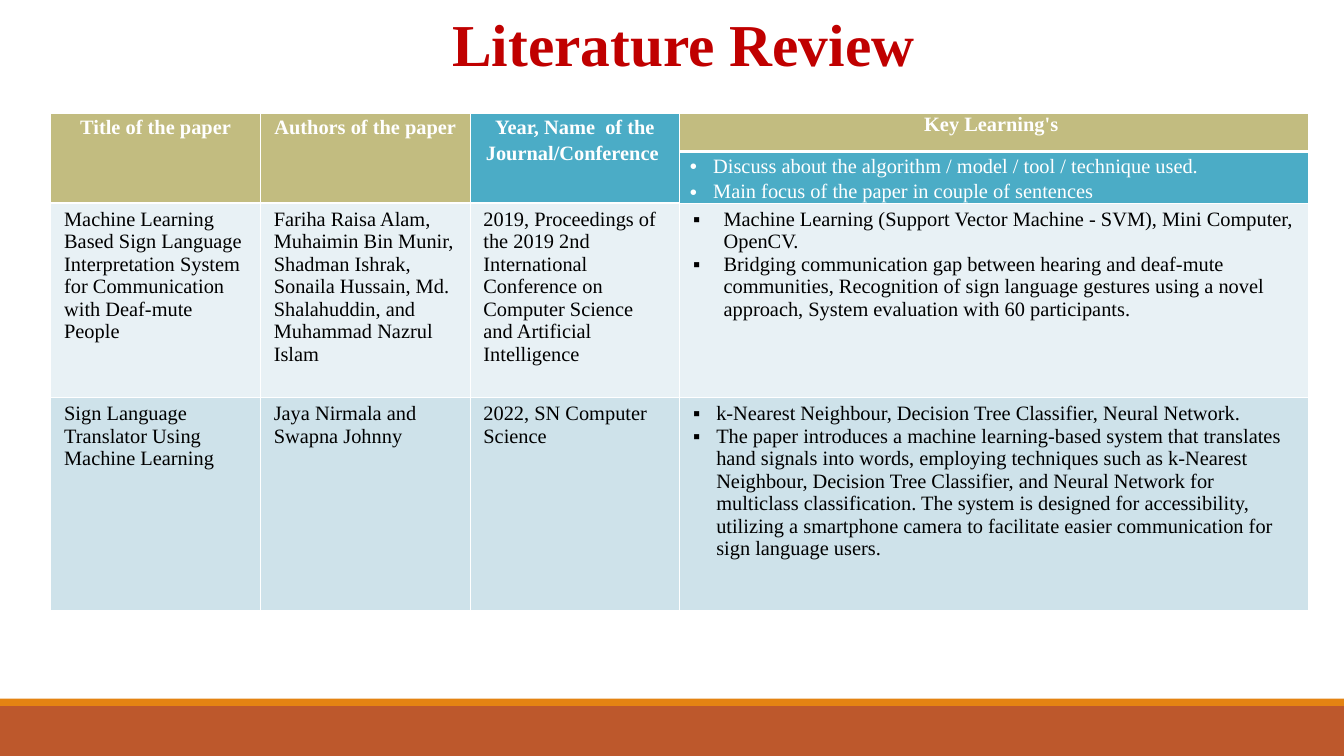
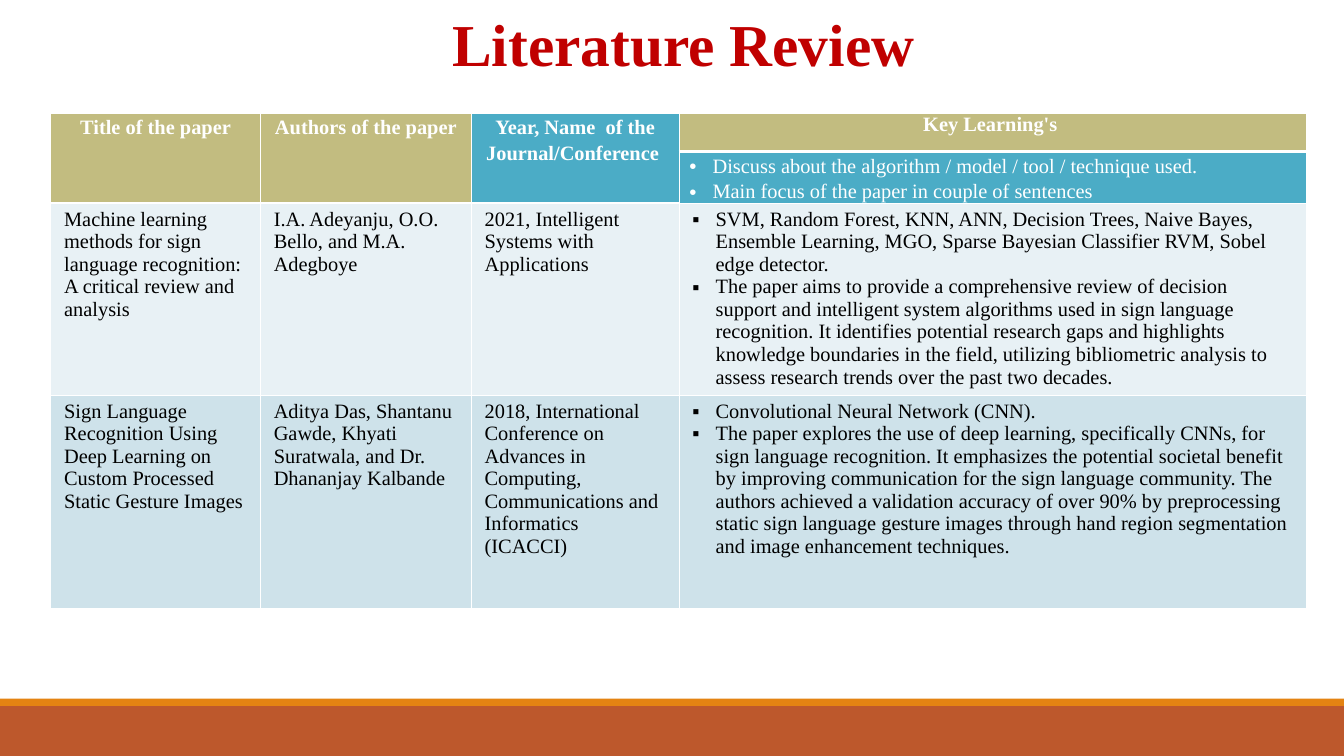
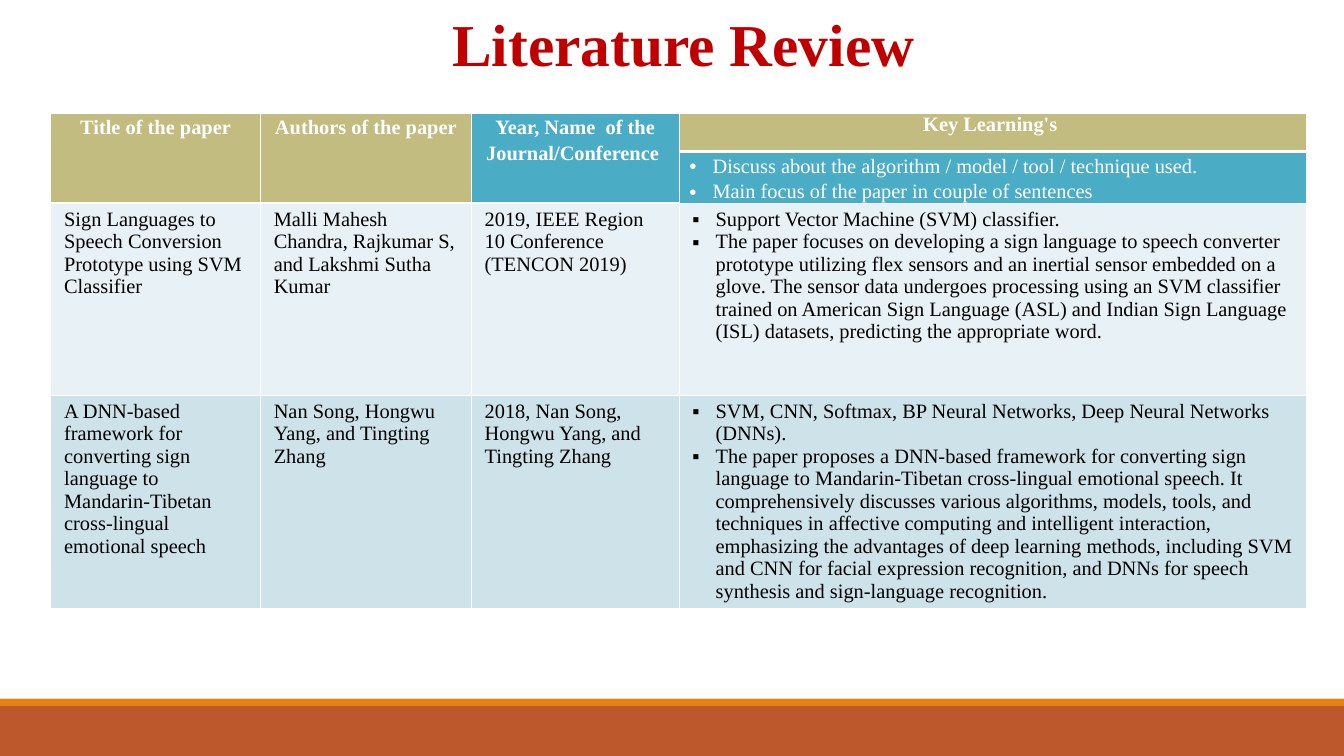
from dataclasses import dataclass

from lxml import etree
from pptx import Presentation
from pptx import util as u
from pptx.dml.color import RGBColor
from pptx.enum import shapes, text
from pptx.oxml import ns

EMU_PER_PX = 9144  # 100 px to the inch
SLIDE_WIDTH, SLIDE_HEIGHT = 2199, 1237
TITLE_ONLY_LAYOUT = 5


@dataclass(frozen=True)
class Theme:
    font: str = "Times New Roman"
    title_size: int = 70
    table_size: int = 24
    title: str = "C00000"
    white: str = "FFFFFF"
    black: str = "000000"
    khaki: str = "C2BC80"
    teal: str = "4BACC6"
    body_rows: tuple[str, ...] = ("E8F1F5", "CEE2EA")
    footer: str = "BD582C"
    footer_edge: str = "E48312"


THEME = Theme()


@dataclass(frozen=True)
class Band:
    top: int
    height: int
    color: str


@dataclass(frozen=True)
class CellStyle:
    fill: str
    color: str
    margin_x: int
    margin_y: int
    bold: bool = False
    align: text.PP_ALIGN = text.PP_ALIGN.LEFT
    line_spacing: float = 1.0
    bullet: str = ""
    indent: int = 38
    bottom_border: int = 1


@dataclass(frozen=True)
class Paper:
    title: str
    authors: str
    source: str
    learnings: tuple[str, str]
    indent: int = 38


@dataclass(frozen=True)
class Review:
    columns: tuple[int, ...]
    first_paper_height: int
    papers: tuple[Paper, Paper]


BANDS = (
    Band(1155, 82, THEME.footer),
    Band(1143, 12, THEME.footer_edge),
)
TABLE_LEFT, TABLE_TOP = 83, 185
HEADER_HEIGHTS = (63, 84)
LAST_PAPER_HEIGHT = 348
HEADINGS = (
    ("Title of the paper", THEME.khaki),
    ("Authors of the paper", THEME.khaki),
    ("Year, Name  of the Journal/Conference ", THEME.teal),
)
KEY_HEADING = "Key Learning's "
KEY_POINTS = (
    "Discuss about the algorithm / model / tool / technique used.",
    "Main focus of the paper in couple of sentences",
)
EQUAL_COLUMNS = (343, 343, 343, 1028)
WIDE_AUTHORS = (343, 345, 340, 1027)

REVIEWS = (
    Review(EQUAL_COLUMNS, 318, (
        Paper(
            "Machine Learning Based Sign Language Interpretation System for "
            "Communication with Deaf-mute People",
            "Fariha Raisa Alam, Muhaimin Bin Munir, Shadman Ishrak, Sonaila Hussain, "
            "Md. Shalahuddin, and Muhammad Nazrul Islam",
            "2019, Proceedings of the 2019 2nd International Conference on Computer "
            "Science and Artificial Intelligence",
            ("Machine Learning (Support Vector Machine - SVM), Mini Computer, OpenCV.",
             "Bridging communication gap between hearing and deaf-mute communities, "
             "Recognition of sign language gestures using a novel approach, System "
             "evaluation with 60 participants."),
            indent=50,
        ),
        Paper(
            "Sign Language Translator Using Machine Learning",
            "Jaya Nirmala and Swapna Johnny",
            "2022, SN Computer Science",
            ("k-Nearest Neighbour, Decision Tree Classifier, Neural Network.",
             "The paper introduces a machine learning-based system that translates hand "
             "signals into words, employing techniques such as k-Nearest Neighbour, "
             "Decision Tree Classifier, and Neural Network for multiclass "
             "classification. The system is designed for accessibility, utilizing a "
             "smartphone camera to facilitate easier communication for sign language "
             "users."),
        ),
    )),
    Review(WIDE_AUTHORS, 314, (
        Paper(
            "Machine learning methods for sign language recognition: A critical review "
            "and analysis",
            "I.A. Adeyanju, O.O. Bello, and M.A. Adegboye",
            "2021, Intelligent Systems with Applications",
            ("SVM, Random Forest, KNN, ANN, Decision Trees, Naive Bayes, Ensemble "
             "Learning, MGO, Sparse Bayesian Classifier RVM, Sobel edge detector.",
             "The paper aims to provide a comprehensive review of decision support and "
             "intelligent system algorithms used in sign language recognition. It "
             "identifies potential research gaps and highlights knowledge boundaries in "
             "the field, utilizing bibliometric analysis to assess research trends over "
             "the past two decades."),
        ),
        Paper(
            "Sign Language Recognition Using Deep Learning on Custom Processed Static "
            "Gesture Images",
            "Aditya Das, Shantanu Gawde, Khyati Suratwala, and Dr. Dhananjay Kalbande",
            "2018, International Conference on Advances in Computing, Communications "
            "and Informatics (ICACCI)",
            ("Convolutional Neural Network (CNN).",
             "The paper explores the use of deep learning, specifically CNNs, for sign "
             "language recognition. It emphasizes the potential societal benefit by "
             "improving communication for the sign language community. The authors "
             "achieved a validation accuracy of over 90% by preprocessing static sign "
             "language gesture images through hand region segmentation and image "
             "enhancement techniques."),
        ),
    )),
    Review(WIDE_AUTHORS, 314, (
        Paper(
            "Sign Languages to Speech Conversion Prototype using SVM Classifier",
            "Malli Mahesh Chandra, Rajkumar S, and Lakshmi Sutha Kumar",
            "2019, IEEE Region 10 Conference (TENCON 2019)",
            ("Support Vector Machine (SVM) classifier.",
             "The paper focuses on developing a sign language to speech converter "
             "prototype utilizing flex sensors and an inertial sensor embedded on a "
             "glove. The sensor data undergoes processing using an SVM classifier "
             "trained on American Sign Language (ASL) and Indian Sign Language (ISL) "
             "datasets, predicting the appropriate word."),
        ),
        Paper(
            "A DNN-based framework for converting sign language to Mandarin-Tibetan "
            "cross-lingual emotional speech",
            "Nan Song, Hongwu Yang, and Tingting Zhang",
            "2018, Nan Song, Hongwu Yang, and Tingting Zhang",
            ("SVM, CNN, Softmax, BP Neural Networks, Deep Neural Networks (DNNs).",
             "The paper proposes a DNN-based framework for converting sign language to "
             "Mandarin-Tibetan cross-lingual emotional speech. It comprehensively "
             "discusses various algorithms, models, tools, and techniques in affective "
             "computing and intelligent interaction, emphasizing the advantages of deep "
             "learning methods, including SVM and CNN for facial expression "
             "recognition, and DNNs for speech synthesis and sign-language "
             "recognition."),
        ),
    )),
)


def px(length: int) -> u.Emu:
    return u.Emu(length * EMU_PER_PX)


def format_runs(paragraph, size: int, color: str, bold: bool) -> None:
    for run in paragraph.runs:
        run.font.name = THEME.font
        run.font.size = u.Pt(size)
        run.font.bold = bold
        run.font.color.rgb = RGBColor.from_string(color)


def add_bullet(paragraph, character: str, indent: int) -> None:
    properties = paragraph._p.get_or_add_pPr()
    properties.set("marL", str(px(indent)))
    properties.set("indent", str(-px(indent)))
    etree.SubElement(properties, ns.qn("a:buFont"), typeface="Arial")
    etree.SubElement(properties, ns.qn("a:buChar"), char=character)


def add_borders(cell, bottom: int) -> None:
    """Add white cell borders; call before the fill, which must follow them."""
    properties = cell._tc.get_or_add_tcPr()
    for side, width in (("L", 1), ("R", 1), ("T", 1), ("B", bottom)):
        line = etree.SubElement(properties, ns.qn(f"a:ln{side}"), w=str(u.Pt(width)))
        fill = etree.SubElement(line, ns.qn("a:solidFill"))
        etree.SubElement(fill, ns.qn("a:srgbClr"), val=THEME.white)


def fill_cell(cell, lines: tuple[str, ...], style: CellStyle) -> None:
    add_borders(cell, style.bottom_border)
    cell.fill.solid()
    cell.fill.fore_color.rgb = RGBColor.from_string(style.fill)
    cell.margin_left = cell.margin_right = px(style.margin_x)
    cell.margin_top = cell.margin_bottom = px(style.margin_y)
    cell.vertical_anchor = text.MSO_ANCHOR.TOP
    cell.text_frame.text = "\n".join(lines)
    for paragraph in cell.text_frame.paragraphs:
        paragraph.alignment = style.align
        paragraph.line_spacing = style.line_spacing
        if style.bullet:
            add_bullet(paragraph, style.bullet, style.indent)
        format_runs(paragraph, THEME.table_size, style.color, style.bold)


def heading_style(fill: str, line_spacing: float) -> CellStyle:
    return CellStyle(fill, THEME.white, 17, 0, bold=True, align=text.PP_ALIGN.CENTER,
                     line_spacing=line_spacing, bottom_border=3)


def fill_header(table) -> None:
    for column, (heading, color) in enumerate(HEADINGS):
        table.cell(0, column).merge(table.cell(1, column))
        fill_cell(table.cell(0, column), (heading,), heading_style(color, 1.15))
    key_column = len(HEADINGS)
    fill_cell(table.cell(0, key_column), (KEY_HEADING,), heading_style(THEME.khaki, 1.0))
    fill_cell(table.cell(1, key_column), KEY_POINTS,
              CellStyle(THEME.teal, THEME.white, 17, 0, line_spacing=1.15, bullet="•"))


def fill_paper(table, row: int, paper: Paper, color: str) -> None:
    plain = CellStyle(color, THEME.black, 22, 8)
    bulleted = CellStyle(color, THEME.black, 22, 8, bullet="▪", indent=paper.indent)
    for column, entry in enumerate((paper.title, paper.authors, paper.source)):
        fill_cell(table.cell(row, column), (entry,), plain)
    fill_cell(table.cell(row, len(HEADINGS)), paper.learnings, bulleted)


def add_review_table(slide, review: Review) -> None:
    heights = (*HEADER_HEIGHTS, review.first_paper_height, LAST_PAPER_HEIGHT)
    table = slide.shapes.add_table(
        len(heights), len(review.columns), px(TABLE_LEFT), px(TABLE_TOP),
        px(sum(review.columns)), px(sum(heights))).table
    table.first_row = table.horz_banding = False
    for column, width in zip(table.columns, review.columns):
        column.width = px(width)
    for row, height in zip(table.rows, heights):
        row.height = px(height)
    fill_header(table)
    for row, (paper, color) in enumerate(zip(review.papers, THEME.body_rows),
                                         start=len(HEADER_HEIGHTS)):
        fill_paper(table, row, paper, color)


def add_band(slide, band: Band) -> None:
    shape = slide.shapes.add_shape(shapes.MSO_SHAPE.RECTANGLE, 0, px(band.top),
                                   px(SLIDE_WIDTH), px(band.height))
    shape.shadow.inherit = False
    shape.fill.solid()
    shape.fill.fore_color.rgb = RGBColor.from_string(band.color)
    shape.line.fill.background()


def set_title(slide, title: str) -> None:
    shape = slide.shapes.title
    shape.left, shape.top, shape.width, shape.height = map(px, (141, 0, 1979, 140))
    frame = shape.text_frame
    frame.text = title
    frame.word_wrap = True
    frame.auto_size = text.MSO_AUTO_SIZE.NONE
    frame.vertical_anchor = text.MSO_ANCHOR.BOTTOM
    frame.margin_left = frame.margin_right = px(22)
    frame.margin_top = frame.margin_bottom = px(11)
    paragraph = frame.paragraphs[0]
    paragraph.alignment = text.PP_ALIGN.CENTER
    format_runs(paragraph, THEME.title_size, THEME.title, bold=True)


def add_review_slide(presentation, review: Review) -> None:
    slide = presentation.slides.add_slide(presentation.slide_layouts[TITLE_ONLY_LAYOUT])
    for band in BANDS:
        add_band(slide, band)
    add_review_table(slide, review)
    set_title(slide, "Literature Review ")


def main() -> None:
    presentation = Presentation()
    presentation.slide_width = px(SLIDE_WIDTH)
    presentation.slide_height = px(SLIDE_HEIGHT)
    for review in REVIEWS:
        add_review_slide(presentation, review)
    presentation.save("out.pptx")


if __name__ == "__main__":
    main()
